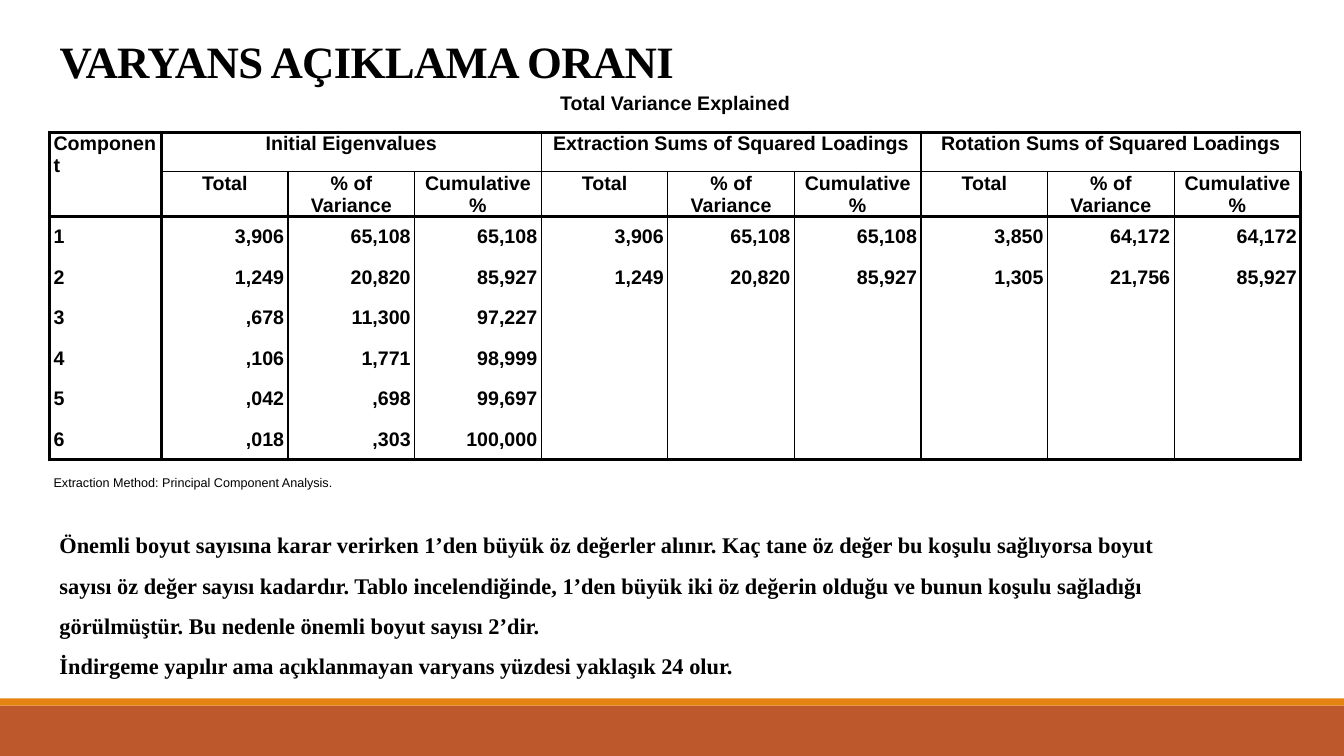
from dataclasses import dataclass
from typing import Any

from lxml.etree import SubElement
from pptx import Presentation
from pptx.dml.color import RGBColor
from pptx.enum.shapes import MSO_SHAPE
from pptx.enum.text import MSO_ANCHOR, MSO_AUTO_SIZE, PP_ALIGN
from pptx.oxml.ns import qn
from pptx.util import Cm, Pt

BLACK = RGBColor(0x00, 0x00, 0x00)
WHITE = RGBColor(0xFF, 0xFF, 0xFF)
RUST = RGBColor(0xBD, 0x58, 0x2C)
ORANGE = RGBColor(0xE4, 0x83, 0x12)

SLIDE_WIDTH, SLIDE_HEIGHT = Cm(33.87), Cm(19.05)
LEFT = Cm(1.25)
THICK, THIN = Pt(2.25), Pt(1)

TITLE_FONT = {"name": "Times New Roman", "size": Pt(32), "bold": True}
COMMENT_FONT = {"name": "Times New Roman", "size": Pt(16), "bold": True}
TABLE_FONT = {"name": "Arial", "size": Pt(14), "bold": True}
NOTE_FONT = {"name": "Arial", "size": Pt(9), "bold": False}
NO_MARGINS = {f"margin_{side}": 0 for side in ("left", "top", "right", "bottom")}

GROUPS = ["Initial Eigenvalues", "Extraction Sums of Squared Loadings",
          "Rotation Sums of Squared Loadings"]
MEASURES = ["Total", "% of Variance", "Cumulative %"]
COLUMNS = 1 + len(GROUPS) * len(MEASURES)
GROUP_ROW, MEASURE_ROW, FIRST_COMPONENT_ROW = 1, 2, 3

COMMENTS = [
    "Önemli boyut sayısına karar verirken 1’den büyük öz değerler alınır. Kaç tane "
    "öz değer bu koşulu sağlıyorsa boyut sayısı öz değer sayısı kadardır. Tablo "
    "incelendiğinde, 1’den büyük iki öz değerin olduğu ve bunun koşulu sağladığı "
    "görülmüştür. Bu nedenle önemli boyut sayısı 2’dir.",
    "İndirgeme yapılır ama açıklanmayan varyans yüzdesi yaklaşık 24 olur.",
]


@dataclass(frozen=True)
class Band:
    top: Cm
    height: Cm
    color: RGBColor


@dataclass(frozen=True)
class Component:
    initial: tuple[str, str, str]
    rotation: tuple[str, ...] = ()

    @property
    def values(self) -> tuple[str, ...]:
        """Retained components repeat their initial values as extraction sums."""
        return self.initial + self.initial + self.rotation if self.rotation else self.initial


BANDS = [
    Band(Cm(17.78), Cm(1.27), RUST),
    Band(Cm(17.6), Cm(0.18), ORANGE),
]
COMPONENTS = [
    Component(("3,906", "65,108", "65,108"), ("3,850", "64,172", "64,172")),
    Component(("1,249", "20,820", "85,927"), ("1,305", "21,756", "85,927")),
    Component((",678", "11,300", "97,227")),
    Component((",106", "1,771", "98,999")),
    Component((",042", ",698", "99,697")),
    Component((",018", ",303", "100,000")),
]
NOTE_ROW = FIRST_COMPONENT_ROW + len(COMPONENTS)


def apply_format(target: Any, values: dict[str, Any]) -> None:
    for attribute, value in values.items():
        setattr(target, attribute, value)


def write_paragraph(paragraph: Any, text: str, font: dict[str, Any],
                    layout: dict[str, Any]) -> Any:
    run = paragraph.add_run()
    run.text = text
    apply_format(run.font, font)
    run.font.color.rgb = BLACK
    apply_format(paragraph, layout)
    return run


def draw_band(slide: Any, band: Band) -> None:
    stripe = slide.shapes.add_shape(MSO_SHAPE.RECTANGLE, 0, band.top, SLIDE_WIDTH, band.height)
    stripe.shadow.inherit = False
    stripe.fill.solid()
    stripe.fill.fore_color.rgb = band.color
    stripe.line.fill.background()


def write_title(slide: Any) -> None:
    title = slide.shapes.title
    apply_format(title, {"left": LEFT, "top": Cm(0.48), "width": Cm(27.94), "height": Cm(1.85)})
    apply_format(title.text_frame, {"vertical_anchor": MSO_ANCHOR.BOTTOM, "word_wrap": True,
                                    "auto_size": MSO_AUTO_SIZE.NONE})
    run = write_paragraph(title.text_frame.paragraphs[0], "VARYANS AÇIKLAMA ORANI", TITLE_FONT,
                          {"alignment": PP_ALIGN.LEFT, "line_spacing": 0.85})
    run.font._element.set("spc", "-50")


def vertical_rule(row: int, edge: int) -> int:
    """Width of the rule on the left of column number edge, 0 for none."""
    if not GROUP_ROW <= row < NOTE_ROW:
        return 0
    if row == GROUP_ROW and edge > 1:
        return THIN if (edge - 1) % len(MEASURES) == 0 else 0
    return THICK if edge in (0, 1, COLUMNS) else THIN


def horizontal_rule(edge: int, column: int) -> int:
    """Width of the rule above row number edge, 0 for none."""
    if edge in (GROUP_ROW, FIRST_COMPONENT_ROW, NOTE_ROW):
        return THICK
    return THIN if edge == MEASURE_ROW and column > 0 else 0


def style_cell(cell: Any, row: int, column: int) -> None:
    right = column + (cell.span_width if cell.is_merge_origin else 1)
    bottom = row + (cell.span_height if cell.is_merge_origin else 1)
    rules = {
        "a:lnL": vertical_rule(row, column),
        "a:lnR": vertical_rule(row, right),
        "a:lnT": horizontal_rule(row, column),
        "a:lnB": horizontal_rule(bottom, column),
    }
    apply_format(cell, NO_MARGINS)
    properties = cell._tc.get_or_add_tcPr()
    for tag, width in rules.items():
        rule = SubElement(properties, qn(tag), w=str(int(width)))
        if width:
            paint = SubElement(rule, qn("a:solidFill"))
            SubElement(paint, qn("a:srgbClr"), val=str(BLACK))
        else:
            SubElement(rule, qn("a:noFill"))
    cell.fill.solid()
    cell.fill.fore_color.rgb = WHITE


def write_cell(cell: Any, text: str, alignment: PP_ALIGN, anchor: MSO_ANCHOR = MSO_ANCHOR.MIDDLE,
               font: dict[str, Any] = TABLE_FONT) -> None:
    cell.vertical_anchor = anchor
    paragraph = cell.text_frame.paragraphs[0]
    write_paragraph(paragraph, text, font, {"alignment": alignment, "line_spacing": Pt(16)})
    apply_indent = {"marL": Cm(0.1), "marR": Cm(0.1), "indent": 0}
    for name, value in apply_indent.items():
        paragraph._p.get_or_add_pPr().set(name, str(int(value)))


def draw_variance_table(slide: Any) -> None:
    variance = slide.shapes.add_table(NOTE_ROW + 1, COLUMNS, LEFT, Cm(2.33),
                                      Cm(31.53), Cm(10.12)).table
    apply_format(variance, {"first_row": False, "horz_banding": False})
    for number, column in enumerate(variance.columns):
        column.width = Cm(3.19) if number else Cm(2.82)
    for number, row in enumerate(variance.rows):
        row.height = Cm(1.02) if FIRST_COMPONENT_ROW <= number < NOTE_ROW else Cm(1)

    for row in (0, NOTE_ROW):
        variance.cell(row, 0).merge(variance.cell(row, COLUMNS - 1))
    variance.cell(GROUP_ROW, 0).merge(variance.cell(MEASURE_ROW, 0))
    write_cell(variance.cell(0, 0), "Total Variance Explained", PP_ALIGN.CENTER, MSO_ANCHOR.TOP)
    write_cell(variance.cell(GROUP_ROW, 0), "Component", PP_ALIGN.LEFT, MSO_ANCHOR.TOP)
    for number, group in enumerate(GROUPS):
        first = 1 + number * len(MEASURES)
        heading = variance.cell(GROUP_ROW, first)
        heading.merge(variance.cell(GROUP_ROW, first + len(MEASURES) - 1))
        write_cell(heading, group, PP_ALIGN.CENTER, MSO_ANCHOR.TOP)
        for column, measure in enumerate(MEASURES, first):
            write_cell(variance.cell(MEASURE_ROW, column), measure, PP_ALIGN.CENTER,
                       MSO_ANCHOR.TOP)
    for number, component in enumerate(COMPONENTS, 1):
        row = FIRST_COMPONENT_ROW + number - 1
        write_cell(variance.cell(row, 0), str(number), PP_ALIGN.LEFT)
        for column, value in enumerate(component.values, 1):
            write_cell(variance.cell(row, column), value, PP_ALIGN.RIGHT)
    write_cell(variance.cell(NOTE_ROW, 0), "Extraction Method: Principal Component Analysis.",
               PP_ALIGN.LEFT, font=NOTE_FONT)

    for row in range(NOTE_ROW + 1):
        for column in range(COLUMNS):
            style_cell(variance.cell(row, column), row, column)


def write_comments(slide: Any) -> None:
    frame = slide.shapes.add_textbox(LEFT, Cm(12.93), Cm(28.52), Cm(4.24)).text_frame
    apply_format(frame, {"word_wrap": True, "auto_size": MSO_AUTO_SIZE.SHAPE_TO_FIT_TEXT})
    for number, comment in enumerate(COMMENTS):
        paragraph = frame.add_paragraph() if number else frame.paragraphs[0]
        write_paragraph(paragraph, comment, COMMENT_FONT, {"line_spacing": 1.5})


def main() -> None:
    presentation = Presentation()
    apply_format(presentation, {"slide_width": SLIDE_WIDTH, "slide_height": SLIDE_HEIGHT})
    slide = presentation.slides.add_slide(presentation.slide_layouts.get_by_name("Title Only"))
    for band in BANDS:
        draw_band(slide, band)
    write_title(slide)
    draw_variance_table(slide)
    write_comments(slide)
    presentation.save("out.pptx")


if __name__ == "__main__":
    main()
